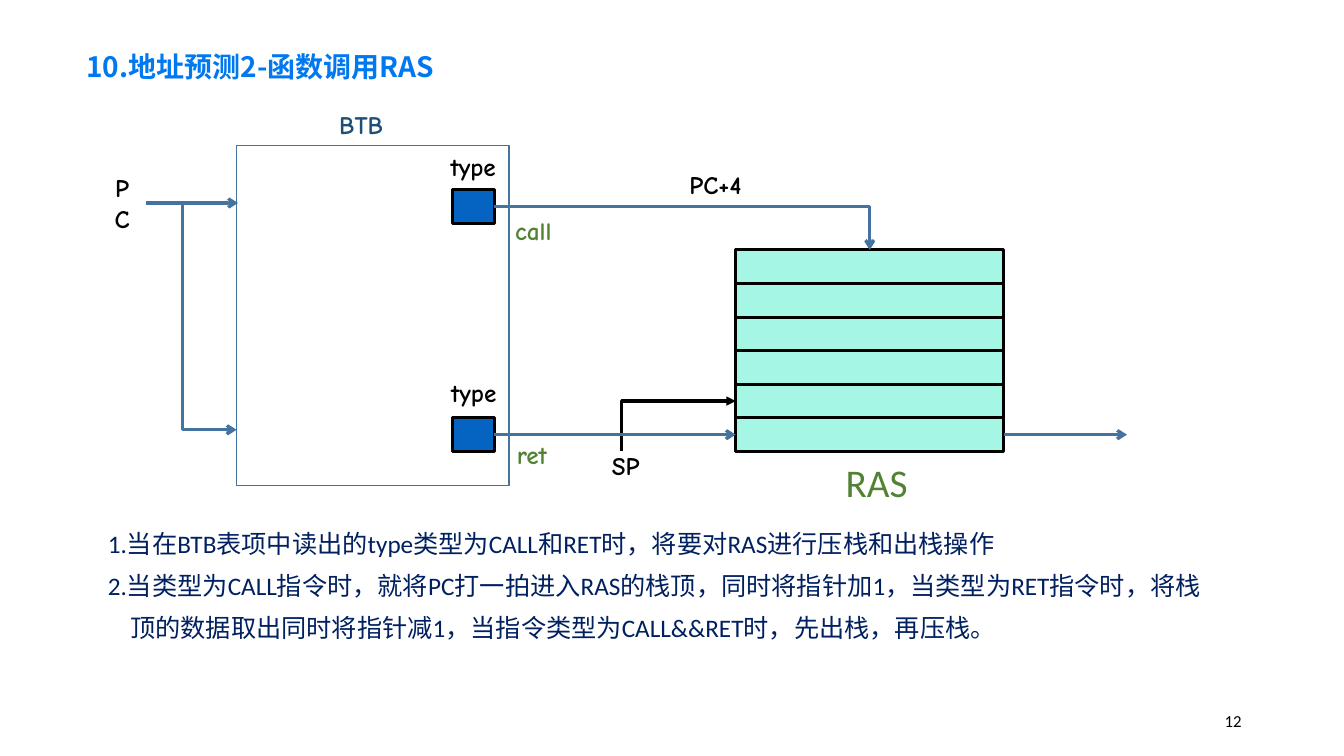
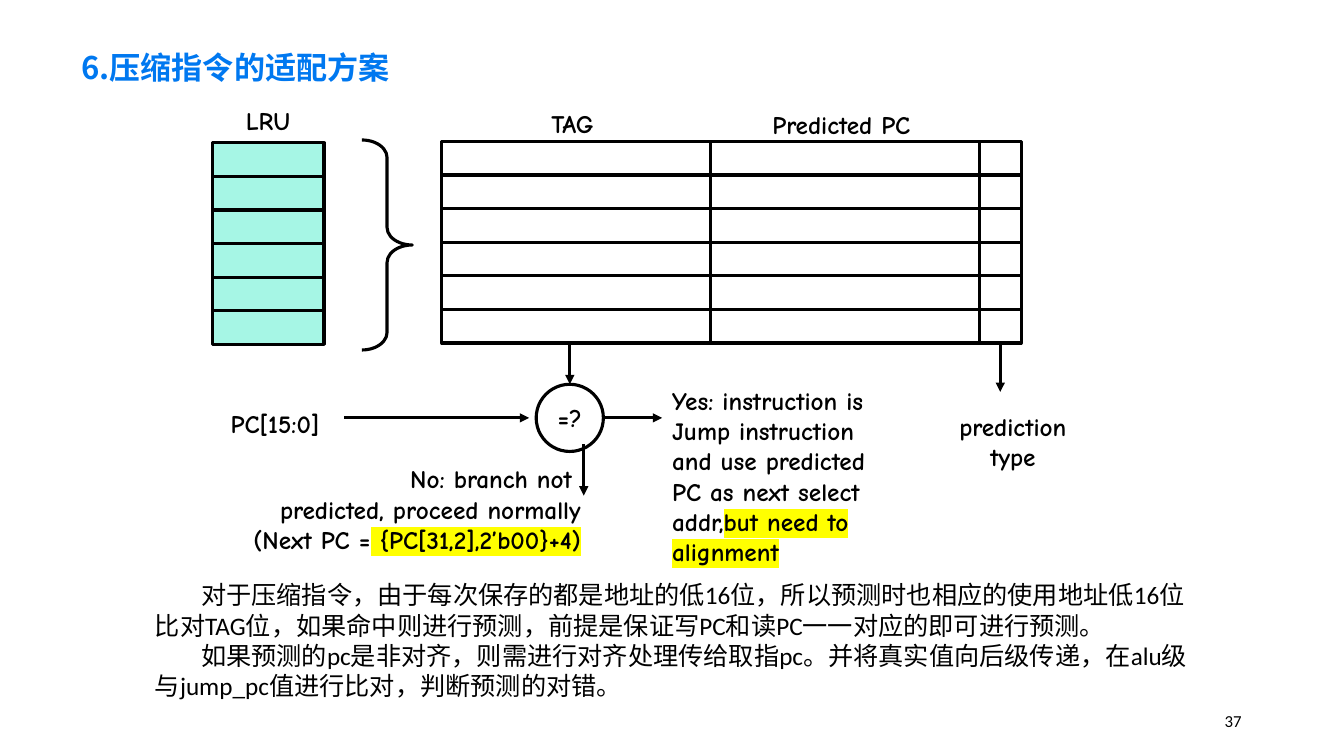
from dataclasses import dataclass

from lxml import etree
from pptx import Presentation
from pptx.dml.color import RGBColor
from pptx.enum.shapes import MSO_CONNECTOR, MSO_SHAPE
from pptx.enum.text import MSO_ANCHOR, PP_ALIGN
from pptx.oxml.ns import qn
from pptx.util import Pt

RECTANGLE, OVAL, BRACE = MSO_SHAPE.RECTANGLE, MSO_SHAPE.OVAL, MSO_SHAPE.RIGHT_BRACE
STRAIGHT, ELBOW = MSO_CONNECTOR.STRAIGHT, MSO_CONNECTOR.ELBOW
LEFT, CENTER, RIGHT = PP_ALIGN.LEFT, PP_ALIGN.CENTER, PP_ALIGN.RIGHT
TOP, MIDDLE, BOTTOM = MSO_ANCHOR.TOP, MSO_ANCHOR.MIDDLE, MSO_ANCHOR.BOTTOM
SIDE_TOP, SIDE_LEFT, SIDE_BOTTOM, SIDE_RIGHT = range(4)
ROW_HEIGHT = 24
ROW_COUNT = 6


@dataclass(frozen=True)
class Theme:
    title: str = "0078F0"
    ink: str = "000000"
    navy: str = "002060"
    heading: str = "1F4E79"
    green: str = "548235"
    wire: str = "43739E"
    type_fill: str = "0563C1"
    stack_fill: str = "A6F6E5"
    marker: str = "FFFF00"
    cjk_font: str = "Noto Sans CJK SC"
    body_font: str = "Calibri"
    label_font: str = "Comic Neue"
    title_size: float = 20
    large_title_size: float = 22.2
    text_size: float = 18
    caption_size: float = 28
    number_size: float = 12
    line_width: float = 2.25
    thin_line: float = 1


THEME = Theme()


def write_text(frame, content, *, size=THEME.text_size, font=THEME.label_font,
               color=THEME.ink, bold=True, align=CENTER, anchor=MIDDLE,
               wrap=False, spacing=None, indents=None, highlight=""):
    """Fill a frame, one paragraph a line; highlight is a marked ending.

    indents maps a paragraph's number to its first-line indent.
    """
    frame.word_wrap = wrap
    frame.vertical_anchor = anchor
    lines = content.split("\n")
    for number, line in enumerate(lines):
        paragraph = frame.add_paragraph() if number else frame.paragraphs[0]
        paragraph.alignment = align
        if spacing:
            paragraph.line_spacing = spacing
        if indents and number in indents:
            paragraph._p.get_or_add_pPr().set("indent", str(Pt(indents[number])))
        ending = highlight if number == len(lines) - 1 else ""
        for words in filter(None, (line, ending)):
            run = paragraph.add_run()
            run.text = words
            run.font.size = Pt(size)
            run.font.bold = bold
            run.font.color.rgb = RGBColor.from_string(color)
            properties = run.font._element
            if words is ending:
                mark = etree.SubElement(properties, qn("a:highlight"))
                etree.SubElement(mark, qn("a:srgbClr")).set("val", THEME.marker)
            run.font.name = font
            etree.SubElement(properties, qn("a:ea")).set("typeface", THEME.cjk_font)


def style_line(line, color, width, arrow=None):
    line.color.rgb = RGBColor.from_string(color)
    line.width = Pt(width)
    if arrow:
        etree.SubElement(line._get_or_add_ln(), qn("a:tailEnd")).set("type", arrow)


class Deck:
    def __init__(self):
        self.presentation = Presentation()
        self.presentation.slide_width = Pt(960)
        self.presentation.slide_height = Pt(540)
        self.shapes = None

    def new_slide(self, title, number, left, top, size):
        blank = self.presentation.slide_layouts[6]
        self.shapes = self.presentation.slides.add_slide(blank).shapes
        self.text(title, left, top, 500, 40, size=size, font=THEME.cjk_font,
                  color=THEME.title, align=LEFT, anchor=BOTTOM, spacing=0.9)
        self.text(number, 678, 500.5, 216, 29, size=THEME.number_size,
                  font=THEME.body_font, bold=False, align=RIGHT)

    def text(self, content, left, top, width, height=29, **style):
        box = self.shapes.add_textbox(Pt(left), Pt(top), Pt(width), Pt(height))
        write_text(box.text_frame, content, **style)

    def body(self, content, left, top, width, height, **style):
        self.text(content, left, top, width, height, font=THEME.body_font,
                  bold=False, align=LEFT, anchor=TOP, wrap=True, **style)

    def shape(self, kind, left, top, width, height, fill=None,
              color=THEME.ink, line_width=THEME.line_width):
        shape = self.shapes.add_shape(kind, Pt(left), Pt(top), Pt(width), Pt(height))
        return self.finish(shape, fill, color, line_width)

    def finish(self, shape, fill, color, line_width, arrow=None):
        shape.shadow.inherit = False
        if fill:
            shape.fill.solid()
            shape.fill.fore_color.rgb = RGBColor.from_string(fill)
        else:
            shape.fill.background()
        style_line(shape.line, color, line_width, arrow)
        return shape

    def grid(self, left, top, widths, fill=None):
        """Draw the rows of a memory structure; return the last row's cells."""
        cells = []
        for row in range(ROW_COUNT):
            cells = [self.shape(RECTANGLE, left + sum(widths[:column]),
                                top + row * ROW_HEIGHT, width, ROW_HEIGHT, fill)
                     for column, width in enumerate(widths)]
        return cells

    def polyline(self, points, color=THEME.ink, arrow="triangle"):
        corners = [(Pt(x), Pt(y)) for x, y in points]
        builder = self.shapes.build_freeform(*corners[0])
        builder.add_line_segments(corners[1:], close=False)
        self.finish(builder.convert_to_shape(), None, color, THEME.line_width, arrow)

    def connect(self, start, end, color=THEME.ink, arrow="triangle", corner=False):
        """Join two ends, each a point (x, y) or a (shape, side) pair."""
        connector = self.shapes.add_connector(ELBOW if corner else STRAIGHT, 0, 0, 0, 0)
        if isinstance(start[0], (int, float)):
            connector.begin_x, connector.begin_y = map(Pt, start)
        else:
            connector.begin_connect(*start)
        if isinstance(end[0], (int, float)):
            connector.end_x, connector.end_y = map(Pt, end)
        else:
            connector.end_connect(*end)
        properties = connector._element.spPr
        if corner:
            properties.find(qn("a:prstGeom")).set("prst", "bentConnector2")
        style_line(connector.line, color, THEME.line_width, arrow)
        etree.SubElement(properties, qn("a:effectLst"))


def build_return_stack(deck):
    deck.new_slide("10.地址预测2-函数调用RAS", "12", 54.5, 23, THEME.title_size)
    wire = {"color": THEME.wire, "arrow": "arrow"}

    stack_left, stack_top, stack_width = 525.5, 178.5, 191.5
    deck.polyline([(444, 322), (444, 286.5), (stack_left, 286.5)])
    stack_bottom = deck.grid(stack_left, stack_top, [stack_width], THEME.stack_fill)[0]
    call_type, ret_type = (
        deck.shape(RECTANGLE, 323, top, 30, ROW_HEIGHT, THEME.type_fill)
        for top in (135.5, 298.5))
    deck.shape(RECTANGLE, 169, 104, 194.5, 243, color=THEME.wire,
               line_width=THEME.thin_line)

    deck.connect((call_type, SIDE_RIGHT), (stack_left + stack_width / 2, stack_top),
                 corner=True, **wire)
    deck.connect((ret_type, SIDE_RIGHT), (stack_bottom, SIDE_LEFT), **wire)
    deck.connect((stack_bottom, SIDE_RIGHT), (805, 310.5), **wire)
    deck.connect((104, 145), (170, 145), **wire)
    deck.polyline([(130.5, 145), (130.5, 307), (169, 307)], **wire)

    for label, left, top, width, color in (
            ("SP", 429, 318, 36, THEME.ink),
            ("call", 359.5, 150, 43, THEME.green),
            ("ret", 359.5, 310, 41, THEME.green),
            ("type", 312, 104, 52, THEME.ink),
            ("type", 312.5, 266, 52, THEME.ink),
            ("PC+4", 482.5, 117.5, 57, THEME.ink),
            ("BTB", 233.5, 74, 49, THEME.heading)):
        deck.text(label, left, top, width, color=color)
    deck.text("PC", 70, 130.5, 34.5, wrap=True)
    deck.body("RAS", 597, 324, 120, 41, size=THEME.caption_size, color=THEME.green)
    deck.body("1.当在BTB表项中读出的type类型为CALL和RET时，将要对RAS进行压栈和出栈操作\n"
              "2.当类型为CALL指令时，就将PC打一拍进入RAS的栈顶，同时将指针加1，"
              "当类型为RET指令时，将栈\n"
              "顶的数据取出同时将指针减1，当指令类型为CALL&&RET时，先出栈，再压栈。",
              70, 365, 795, 120, color=THEME.navy, spacing=1.4, indents={2: 16})


def build_compressed_instructions(deck):
    deck.new_slide("6.压缩指令的适配方案", "37", 51, 25, THEME.large_title_size)

    table_top = 101
    table_bottom = table_top + ROW_COUNT * ROW_HEIGHT
    type_cell = deck.grid(315.5, table_top, [192, 192, 30])[-1]
    deck.grid(152, 102, [79.5], THEME.stack_fill)
    brace = deck.shape(BRACE, 258.5, 100, 36, 150)
    brace.adjustments[0] = 0.348

    compare = deck.shape(OVAL, 383, 274.5, 48, 48)
    write_text(compare.text_frame, "=?")
    deck.connect((407, table_bottom), (407, 274.5))
    deck.connect((type_cell, SIDE_BOTTOM), (714.5, 280))
    deck.connect((431, 298.5), (473, 298.5))
    deck.connect((417, 317), (417, 354))
    deck.connect((246, 298.5), (378, 298.5))

    for label, left, top, width in (
            ("TAG", 383, 73.5, 52),
            ("Predicted PC", 538.5, 74, 125),
            ("PC[15:0]", 152, 288, 89),
            ("LRU", 167, 71.5, 49)):
        deck.text(label, left, top, width)
    deck.text("prediction type", 666, 290, 115, 51, wrap=True)
    deck.text("Yes: instruction is\nJump instruction\n"
              "and use predicted PC as next select addr,",
              473, 271, 178.5, 138, align=LEFT, wrap=True,
              highlight="but need to alignment")
    deck.text("No: branch not \npredicted, proceed normally\n(Next PC =",
              119.5, 327, 302.5, 73, align=RIGHT, wrap=True,
              highlight=" {PC[31,2],2’b00}+4)")
    deck.body("对于压缩指令，由于每次保存的都是地址的低16位，所以预测时也相应的使用地址低16位\n"
              "比对TAG位，如果命中则进行预测，前提是保证写PC和读PC一一对应的即可进行预测。\n"
              "如果预测的pc是非对齐，则需进行对齐处理传给取指pc。并将真实值向后级传递，"
              "在alu级与jump_pc值进行比对，判断预测的对错。",
              103.5, 410.5, 752.5, 94, indents={0: 33, 2: 33})


def main():
    deck = Deck()
    build_return_stack(deck)
    build_compressed_instructions(deck)
    deck.presentation.save("out.pptx")


if __name__ == "__main__":
    main()
